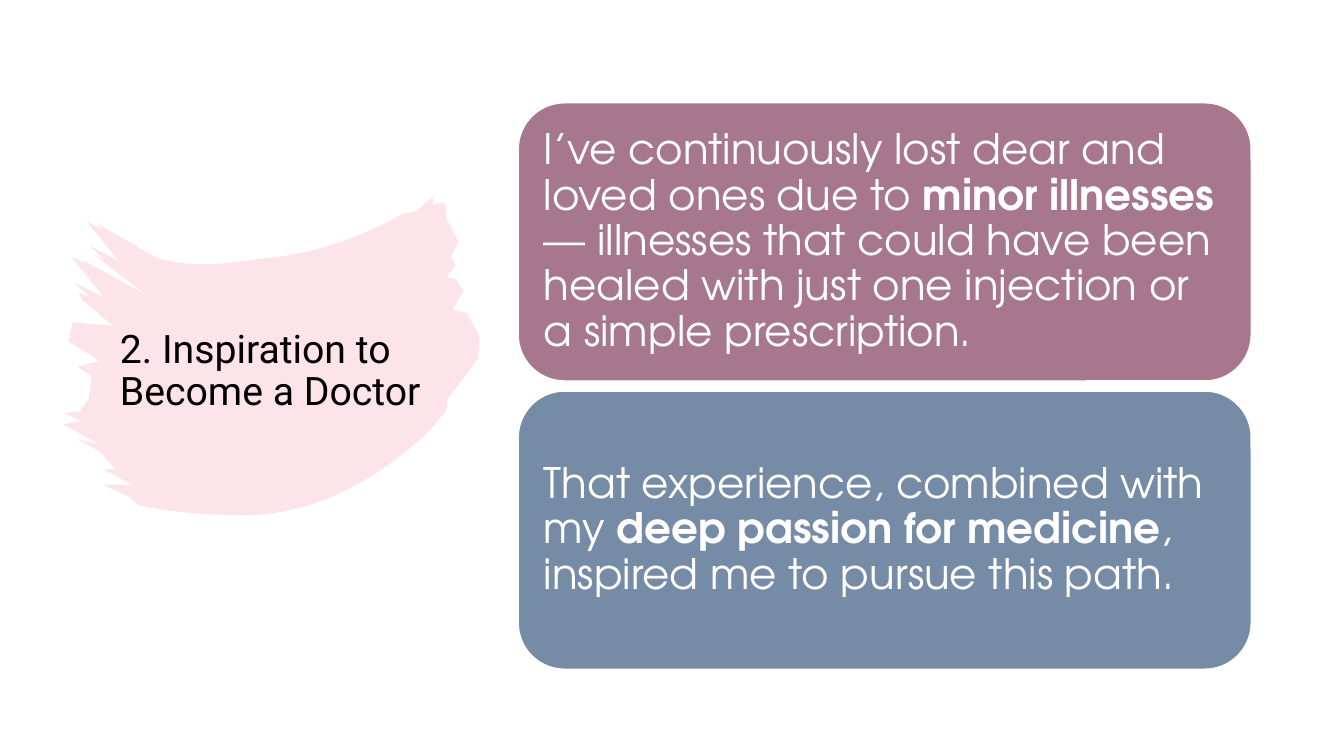
"""Build the slide about the inspiration to become a doctor."""
import dataclasses
import typing

import lxml.etree
import pptx
import pptx.dml.color
import pptx.dml.fill
import pptx.enum.shapes
import pptx.enum.text
import pptx.oxml.ns
import pptx.shapes.base
import pptx.slide
import pptx.text.text
import pptx.util

COLS, ROWS = 1333, 750
CELL = pptx.util.Inches(0.01)
WHITE, BLACK, PINK = "FFFFFF", "000000", "F07C98"
MIDDLE = pptx.enum.text.MSO_ANCHOR.MIDDLE
LEFT = pptx.enum.text.PP_ALIGN.LEFT
FIXED = pptx.enum.text.MSO_AUTO_SIZE.NONE
MARGINS = ("margin_left", "margin_top", "margin_right", "margin_bottom")
TITLE_FONT = {"name": "Roboto", "size": pptx.util.Pt(28), "bold": False}
CARD_FONT = {"name": "TeX Gyre Adventor", "size": pptx.util.Pt(30)}
CARD_COL, CARD_ROW, CARD_W, CARD_H, CARD_STEP = 514, 102, 727, 276, 286

Step = tuple[float, ...]


@dataclasses.dataclass
class Card:
    """A rounded card whose text has one bold phrase."""
    fill: str
    before: str
    bold: str
    after: str


CARDS = [
    Card("A6778D", "I’ve continuously lost dear and loved ones due to ", "minor illnesses",
         " — illnesses that could have been healed with just one injection or a simple prescription."),
    Card("768BA6", "That experience, combined with my ", "deep passion for medicine",
         ", inspired me to pursue this path."),
]

BRUSH: list[Step] = [
    (430, 195), (429, 203), (441, 201), (443, 217), (455, 240), (447, 255), (452, 263),
    (443, 275), (452, 277), (460, 289), (449, 307), (463, 311), (476, 334), (474, 356),
    (444, 396), (443, 407), (428, 425), (427, 425, 357, 504, 255, 511),
    (225, 512, 175, 510, 137, 501), (127, 492), (102, 481), (131, 481), (103, 466),
    (114, 465), (99, 448), (77, 436), (97, 440), (63, 421), (81, 418), (64, 410), (79, 408),
    (88, 396), (91, 373), (77, 364), (99, 358), (68, 339), (72, 320), (112, 323),
    (81, 297), (78, 290), (90, 295), (73, 280), (103, 295), (71, 255), (88, 263),
    (80, 257), (144, 292), (94, 253), (104, 258), (89, 244), (118, 259), (86, 220),
    (103, 228), (95, 221), (156, 256), (190, 266, 222, 262, 257, 257),
    (332, 251, 381, 222, 400, 212), (412, 210),
]


def paint(fill: pptx.dml.fill.FillFormat, color: str) -> None:
    """Make a fill solid in a hex colour."""
    fill.solid()
    fill.fore_color.rgb = pptx.dml.color.RGBColor.from_string(color)


def style(obj: typing.Any, values: dict[str, typing.Any]) -> None:
    """Set each named attribute of an object."""
    for name, value in values.items():
        setattr(obj, name, value)


def place(sp: pptx.shapes.base.BaseShape, col: float, row: float, w: float, h: float) -> None:
    """Move and size a shape in grid cells."""
    lengths = zip(("left", "top", "width", "height"), (col, row, w, h))
    style(sp, {name: int(cells * CELL) for name, cells in lengths})


def add_run(p: pptx.text.text._Paragraph, text: str, color: str,
            font: dict[str, typing.Any]) -> None:
    """Append a formatted run to a paragraph."""
    r = p.add_run()
    r.text = text
    style(r.font, font)
    paint(r.font.fill, color)


def trace(steps: list[Step], parts: int = 12) -> list[tuple[float, float]]:
    """Turn corners and cubic curves into one list of points."""
    pts = [(steps[0][0] * CELL, steps[0][1] * CELL)]
    for step in steps[1:]:
        x, y = pts[-1]
        xs, ys = ([x, *(v * CELL for v in step[::2])], [y, *(v * CELL for v in step[1::2])])
        if len(step) == 2:
            pts.append((xs[1], ys[1]))
            continue
        for i in range(1, parts + 1):
            t = i / parts
            weights = ((1 - t) ** 3, 3 * t * (1 - t) ** 2, 3 * t * t * (1 - t), t ** 3)
            pts.append((sum(w * v for w, v in zip(weights, xs)),
                        sum(w * v for w, v in zip(weights, ys))))
    return pts


def draw_brush(s: pptx.slide.Slide) -> None:
    """Draw the pale brush stroke behind the title."""
    pts = trace(BRUSH)
    builder = s.shapes.build_freeform(*pts[0], scale=1.0)
    builder.add_line_segments(pts[1:], close=True)
    sp = builder.convert_to_shape()
    sp.shadow.inherit = False
    paint(sp.fill, PINK)
    sp.line.fill.background()
    tint = sp.element.spPr.find(".//" + pptx.oxml.ns.qn("a:srgbClr"))
    lxml.etree.SubElement(tint, pptx.oxml.ns.qn("a:alpha")).set("val", "20000")


def draw_title(s: pptx.slide.Slide, text: str) -> None:
    """Put the title in its placeholder, in front of the brush stroke."""
    sp = s.shapes.title
    sp.element.getparent().append(sp.element)
    place(sp, 109, 287, 329, 164)
    tf = sp.text_frame
    style(tf, {"vertical_anchor": MIDDLE, "word_wrap": True, "auto_size": FIXED})
    p = tf.paragraphs[0]
    style(p, {"alignment": LEFT, "line_spacing": 0.9})
    add_run(p, text, BLACK, TITLE_FONT)


def draw_card(s: pptx.slide.Slide, card: Card, index: int) -> None:
    """Draw one rounded card at its row of the stack."""
    sp = s.shapes.add_shape(pptx.enum.shapes.MSO_SHAPE.ROUNDED_RECTANGLE, 0, 0, 0, 0)
    place(sp, CARD_COL, CARD_ROW + index * CARD_STEP, CARD_W, CARD_H)
    sp.shadow.inherit = False
    paint(sp.fill, card.fill)
    paint(sp.line.fill, WHITE)
    sp.line.width = pptx.util.Pt(1)
    tf = sp.text_frame
    style(tf, {"vertical_anchor": MIDDLE, "word_wrap": True})
    style(tf, dict.fromkeys(MARGINS, 12 * CELL))
    p = tf.paragraphs[0]
    style(p, {"alignment": LEFT, "line_spacing": 0.9})
    for text, bold in ((card.before, False), (card.bold, True), (card.after, False)):
        add_run(p, text, WHITE, {**CARD_FONT, "bold": bold})


def main() -> None:
    """Build and save the presentation."""
    prs = pptx.Presentation()
    style(prs, {"slide_width": COLS * CELL, "slide_height": ROWS * CELL})
    s = prs.slides.add_slide(prs.slide_layouts[5])
    paint(s.background.fill, WHITE)
    draw_brush(s)
    draw_title(s, "2. Inspiration to Become a Doctor")
    for index, card in enumerate(CARDS):
        draw_card(s, card, index)
    prs.save("out.pptx")


if __name__ == "__main__":
    main()
